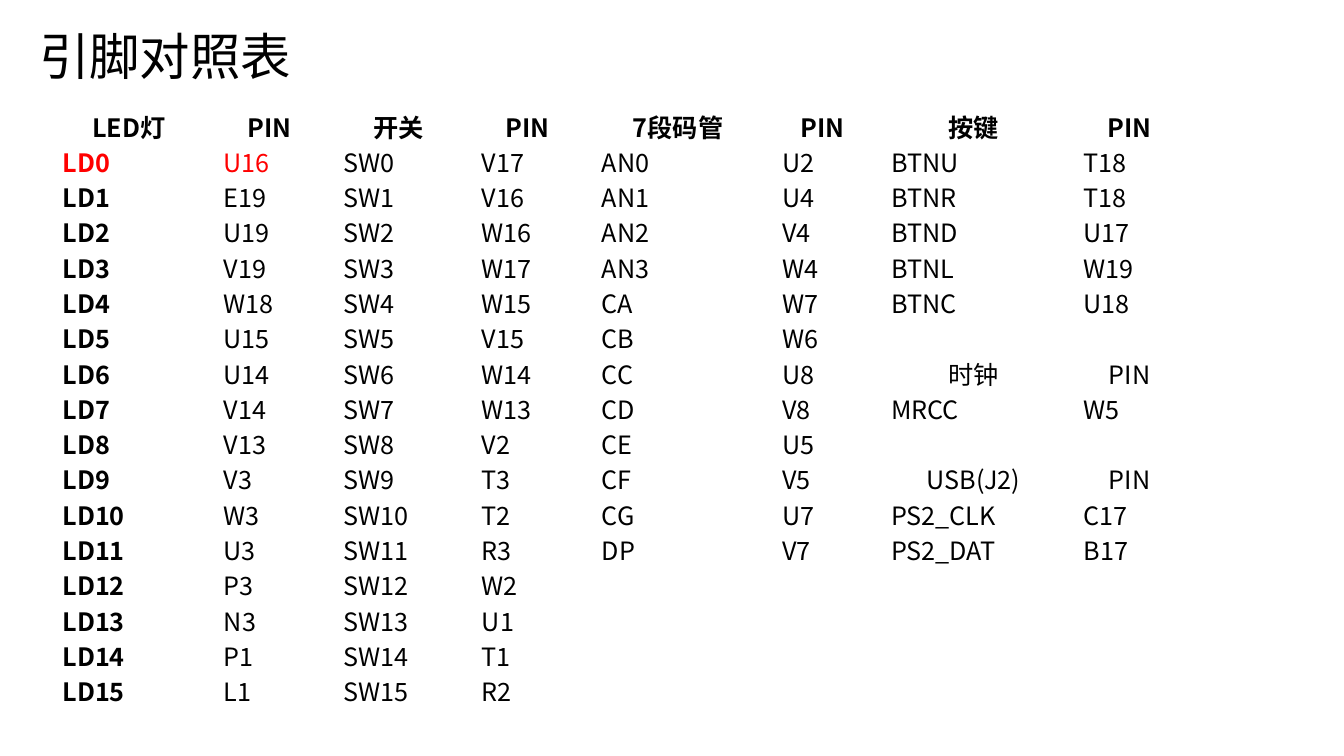
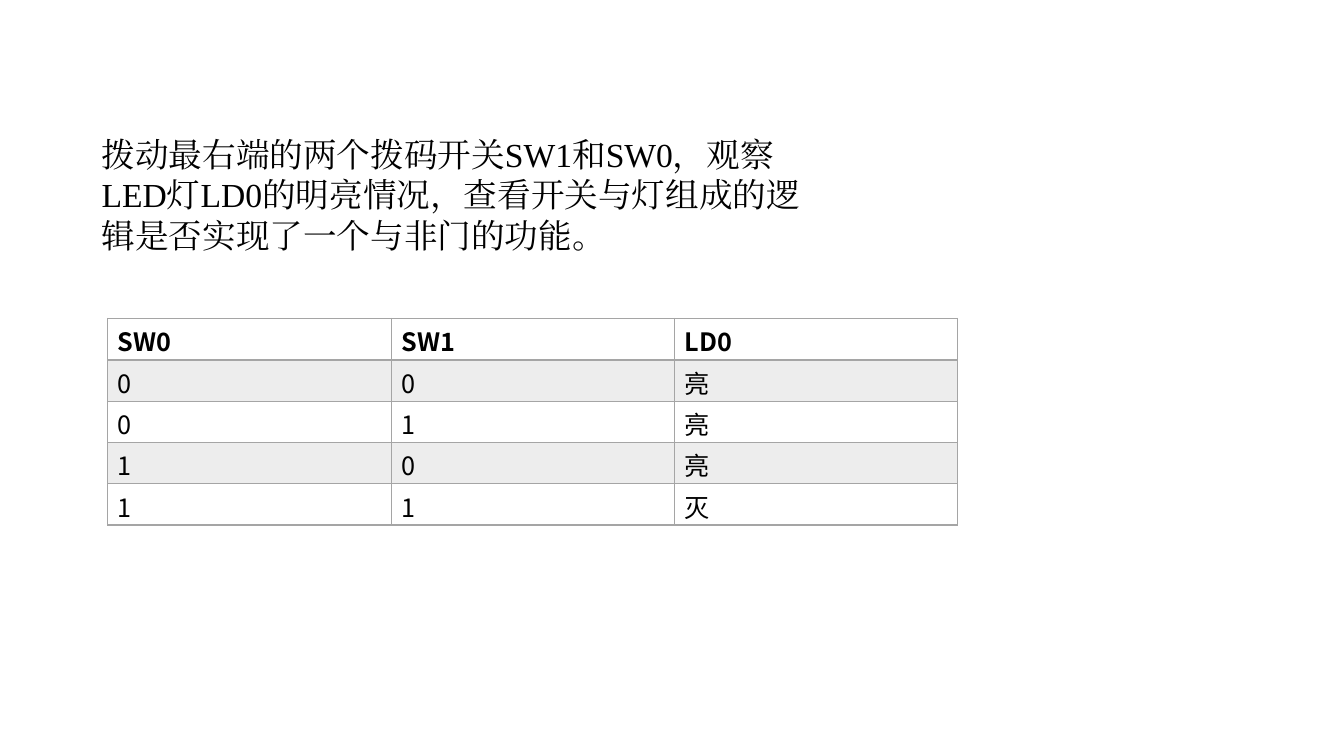
from itertools import zip_longest

from lxml import etree
from pptx import Presentation
from pptx.dml.color import RGBColor
from pptx.enum.text import MSO_AUTO_SIZE, PP_ALIGN
from pptx.oxml.ns import qn
from pptx.util import Inches, Pt

CENTER = PP_ALIGN.CENTER
GROW = MSO_AUTO_SIZE.SHAPE_TO_FIT_TEXT

COLORS = {"text": "000000", "mark": "FF0000", "page": "FFFFFF",
          "grid": "A5A5A5", "band": "EDEDED"}
SANS, SERIF = "Noto Sans CJK SC", "Times New Roman"

# Content: pin table, one list per column
TITLE = "引脚对照表"
PINS = [
    ["LED灯"] + [f"LD{i}" for i in range(16)],
    "PIN U16 E19 U19 V19 W18 U15 U14 V14 V13 V3 W3 U3 P3 N3 P1 L1".split(),
    ["开关"] + [f"SW{i}" for i in range(16)],
    "PIN V17 V16 W16 W17 W15 V15 W14 W13 V2 T3 T2 R3 W2 U1 T1 R2".split(),
    "7段码管 AN0 AN1 AN2 AN3 CA CB CC CD CE CF CG DP".split(),
    "PIN U2 U4 V4 W4 W7 W6 U8 V8 U5 V5 U7 V7".split(),
    ["按键", "BTNU", "BTNR", "BTND", "BTNL", "BTNC", "",
     "时钟", "MRCC", "", "USB(J2)", "PS2_CLK", "PS2_DAT"],
    ["PIN", "T18", "T18", "U17", "W19", "U18", "",
     "PIN", "W5", "", "PIN", "C17", "B17"],
]
PIN_WIDTHS = [1.6, 1.19, 1.37, 1.19, 1.79, 1.08, 1.91, 1.19]
HEADS = {"PIN", "时钟", "USB(J2)"}
MARKED = {"LD0", "U16"}

# Content: truth table
TASK = ("拨动最右端的两个拨码开关SW1和SW0，观察LED灯LD0的明亮情况，"
        "查看开关与灯组成的逻辑是否实现了一个与非门的功能。")
TRUTH = [("SW0", "SW1", "LD0"), ("0", "0", "亮"), ("0", "1", "亮"),
         ("1", "0", "亮"), ("1", "1", "灭")]


def write(para, text, size=18, font=SANS, color="text", bold=False):
    run = para.add_run()
    run.text = text
    look = {"size": Pt(size), "name": font, "bold": bold}
    for key, value in look.items():
        setattr(run.font, key, value)
    run.font.color.rgb = RGBColor.from_string(COLORS[color])
    east = etree.SubElement(run.font._element, qn("a:ea"))
    east.set("typeface", font)


def add_text(slide, box, text, wrap, **look):
    frame = slide.shapes.add_textbox(*map(Inches, box)).text_frame
    frame.word_wrap = wrap
    frame.auto_size = GROW
    write(frame.paragraphs[0], text, **look)


def set_edges(cell, color, base):
    """Draw the four borders of a cell; base is the bottom width."""
    props = cell._tc.get_or_add_tcPr()
    widths = {"lnL": 1, "lnR": 1, "lnT": 1, "lnB": base}
    for spot, (tag, width) in enumerate(widths.items()):
        line = etree.Element(qn(f"a:{tag}"), w=str(Pt(width)))
        fill = etree.SubElement(line, qn("a:solidFill"))
        etree.SubElement(fill, qn("a:srgbClr"), val=COLORS[color])
        props.insert(spot, line)


def add_grid(slide, spot, rows, widths, height, pads, edge, base):
    """Add a plain table; yield row, column, cell and text."""
    box = (*spot, sum(widths), height * len(rows))
    table = slide.shapes.add_table(
        len(rows), len(widths), *map(Inches, box)).table
    table.first_row = table.horz_banding = False
    for column, width in zip(table.columns, widths):
        column.width = Inches(width)
    for r, texts in enumerate(rows):
        table.rows[r].height = Inches(height)
        for c, text in enumerate(texts):
            cell = table.cell(r, c)
            for side, pad in pads.items():
                setattr(cell, f"margin_{side}", Inches(pad))
            cell.fill.background()
            # The line under the header is heavier
            set_edges(cell, edge, 1 if r else base)
            yield r, c, cell, text


def add_pins(slide):
    add_text(slide, (0.29, 0.2, 2.73, 0.71), TITLE, False, size=36)
    rows = list(zip_longest(*PINS, fillvalue=""))
    pads = {"left": 0.07, "right": 0.07, "top": 0, "bottom": 0}
    for r, c, cell, text in add_grid(slide, (0.48, 1.07), rows, PIN_WIDTHS,
                                     0.35, pads, "page", 3):
        if not text:
            continue
        para = cell.text_frame.paragraphs[0]
        if r == 0 or text in HEADS:
            para.alignment = CENTER
        else:
            para._p.get_or_add_pPr().set("marL", str(Inches(0.07)))
        write(para, text, color="mark" if text in MARKED else "text",
              bold=r == 0 or c == 0)


def add_truth(slide):
    add_text(slide, (0.91, 1.28, 7.32, 1.31), TASK, True,
             size=24, font=SERIF)
    pads = {"left": 0.1, "right": 0.1, "top": 0.04, "bottom": 0}
    for r, _, cell, text in add_grid(slide, (1.07, 3.16), TRUTH, [2.81] * 3,
                                     0.41, pads, "grid", 2):
        if r % 2:
            cell.fill.solid()
            cell.fill.fore_color.rgb = RGBColor.from_string(COLORS["band"])
        write(cell.text_frame.paragraphs[0], text, bold=r == 0)


def main():
    deck = Presentation()
    deck.slide_width, deck.slide_height = Inches(13.33), Inches(7.5)
    for build in (add_pins, add_truth):
        build(deck.slides.add_slide(deck.slide_layouts[6]))
    deck.save("out.pptx")


if __name__ == "__main__":
    main()
